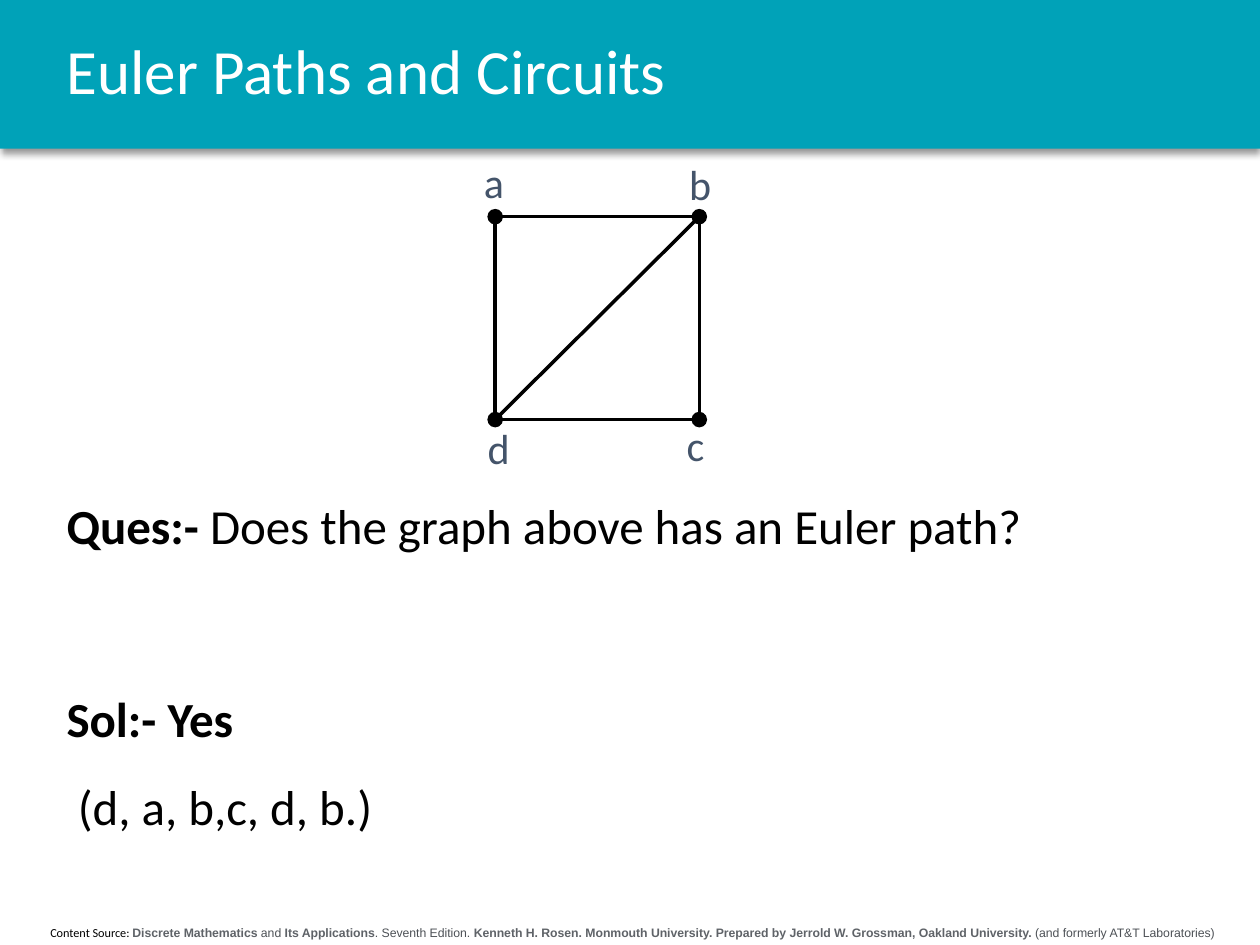
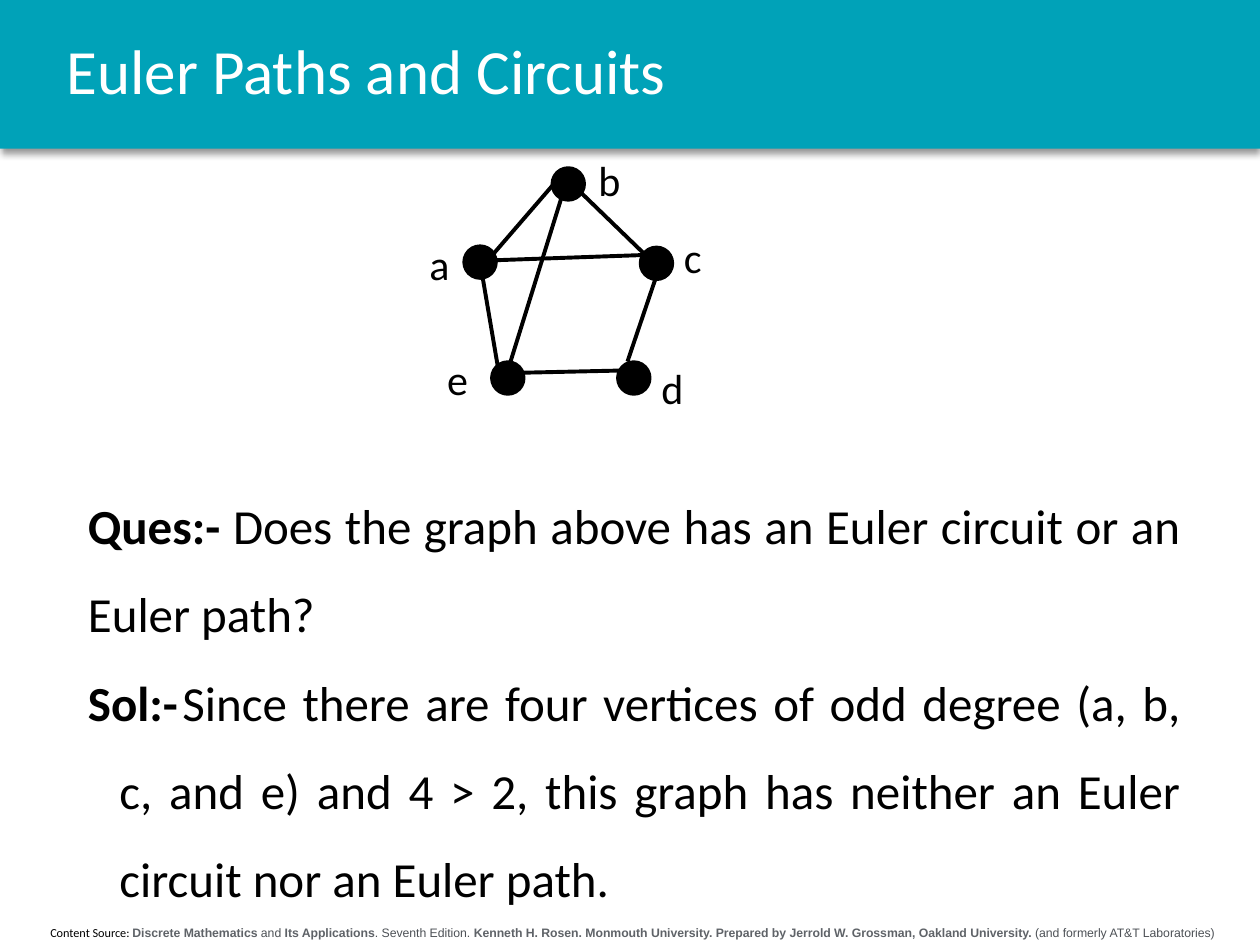
import pptx
import pptx.dml.color
import pptx.enum.shapes
import pptx.enum.text
import pptx.oxml
import pptx.oxml.ns
import pptx.util
from lxml import etree

COLORS = {
    "band": "00A2B8", "title": "FFFFFF", "ink": "000000", "slate": "44546A",
    "work": "5F6368", "detail": "4D5156",
}
SIZE = (10, 7.5)
BAND_HEIGHT = 1.18
TITLE = "Euler Paths and Circuits"
SOURCE = [
    ("Content Source: ", "Calibri", "ink", False),
    ("Discrete Mathematics", "Arial", "work", True),
    (" and ", "Arial", "detail", False),
    ("Its Applications", "Arial", "work", True),
    (". Seventh Edition. ", "Arial", "detail", False),
    ("Kenneth H. Rosen. Monmouth University. Prepared by Jerrold W. Grossman, Oakland University.",
     "Arial", "work", True),
    (" (and formerly AT&T Laboratories)", "Arial", "detail", False),
]
LEFT, RIGHT, TOP, BOTTOM = 3.93, 5.55, 1.72, 3.33

SLIDES = [
    {
        "graph": {
            "vertices": {"a": (LEFT, TOP), "b": (RIGHT, TOP),
                         "c": (RIGHT, BOTTOM), "d": (LEFT, BOTTOM)},
            "edges": ["ab", "bc", "cd", "da", "bd"],
            "labels": {"a": (3.84, 1.24), "b": (5.47, 1.26),
                       "c": (5.45, 3.33), "d": (3.87, 3.35)},
            "label_size": (0.32, 0.4), "label_inset": (0, 0), "label_color": "slate",
            "dot": 0.11, "outline": 1, "stroke": 2,
        },
        "answer_box": (0.43, 3.65, 9.3, 3.56),
        "answer": [
            {"runs": [("Ques:- ", True), ("Does the graph above has an Euler path?", False)]},
            {"runs": [("Sol:- Yes", True)], "before": 60},
            {"runs": [("(d, a, b,c, d, b.)", False)], "margin": 0.09},
        ],
    },
    {
        "graph": {
            "vertices": {"a": (3.81, 2.08), "b": (4.51, 1.46), "c": (5.21, 2.09),
                         "d": (5.03, 3), "e": (4.03, 3)},
            "edges": [
                ((4.43, 1.42), (3.86, 2.08)), ((4.54, 1.46), (5.16, 2.06)),
                ((5.23, 2.02), (3.81, 2.07)), ((4.49, 1.46), (3.99, 3.07)),
                ((3.81, 2.08), (3.97, 3.02)), ((5.23, 2.13), (4.98, 2.87)),
                ((4.97, 2.94), (4.07, 2.96)),
            ],
            "labels": {"a": (3.31, 1.84), "b": (4.65, 1.18), "c": (5.33, 1.79),
                       "d": (5.15, 2.83), "e": (3.45, 2.76)},
            "label_size": (0.55, 0.5), "label_inset": (0.1, 0.05), "label_color": "ink",
            "dot": 0.25, "outline": 2.25, "stroke": 2.25,
        },
        "answer_box": (0.6, 3.65, 8.87, 3.72),
        "answer": [
            {"runs": [("Ques:- ", True),
                      ("Does the graph above has an Euler circuit or an Euler path?", False)]},
            {"runs": [("Sol:-\t", True),
                      ("Since there are four vertices of odd degree (a, b, c, and e) and 4 > 2, "
                       "this graph has neither an Euler circuit nor an Euler path.", False)],
             "margin": 0.25, "hang": 0.25},
        ],
    },
]


def inches(values):
    return [pptx.util.Inches(value) for value in values]


def rgb(name):
    return pptx.dml.color.RGBColor.from_string(COLORS[name])


def style(font, size, color, name="Calibri"):
    font.size, font.name = pptx.util.Pt(size), name
    font.color.rgb = rgb(color)


def add_text_frame(slide, box, inset=(0.1, 0.05)):
    frame = slide.shapes.add_textbox(*inches(box)).text_frame
    frame.word_wrap = True
    frame.margin_left = frame.margin_right = pptx.util.Inches(inset[0])
    frame.margin_top = frame.margin_bottom = pptx.util.Inches(inset[1])
    return frame


def add_solid(slide, kind, box, color):
    solid = slide.shapes.add_shape(kind, *inches(box))
    solid.shadow.inherit = False
    solid.fill.solid()
    solid.fill.fore_color.rgb = rgb(color)
    return solid


def add_frame(slide):
    band = add_solid(slide, pptx.enum.shapes.MSO_SHAPE.RECTANGLE,
                     (0, 0, SIZE[0], BAND_HEIGHT), "band")
    band.line.fill.background()
    effects = band._element.spPr.find(pptx.oxml.ns.qn("a:effectLst"))
    effects.append(pptx.oxml.parse_xml(
        f'<a:outerShdw {pptx.oxml.ns.nsdecls("a")} blurRad="50800" dist="38100" '
        f'dir="5400000" algn="t" rotWithShape="0"><a:srgbClr val="{COLORS["ink"]}">'
        '<a:alpha val="40000"/></a:srgbClr></a:outerShdw>'))

    source = add_text_frame(slide, (0.04, 7.29, 9.96, 0.22)).paragraphs[0]
    source.alignment = pptx.enum.text.PP_ALIGN.CENTER
    for text, name, color, bold in SOURCE:
        run = source.add_run()
        run.text = text
        run.font.bold = bold
        style(run.font, 7, color, name)

    title = add_text_frame(slide, (0.43, 0, 9.3, BAND_HEIGHT))
    title.vertical_anchor = pptx.enum.text.MSO_ANCHOR.MIDDLE
    title.text = TITLE
    title.paragraphs[0].line_spacing = 0.9
    style(title.paragraphs[0].font, 36, "title")


def add_graph(slide, graph):
    vertices, dot = graph["vertices"], graph["dot"]
    for ends in graph["edges"]:
        start, end = (vertices.get(point, point) for point in ends)
        edge = slide.shapes.add_connector(
            pptx.enum.shapes.MSO_CONNECTOR.STRAIGHT, *inches(start + end))
        edge.line.color.rgb = rgb("ink")
        edge.line.width = pptx.util.Pt(graph["stroke"])
        etree.SubElement(edge._element.spPr, pptx.oxml.ns.qn("a:effectLst"))
    for x, y in vertices.values():
        vertex = add_solid(slide, pptx.enum.shapes.MSO_SHAPE.OVAL,
                           (x - dot / 2, y - dot / 2, dot, dot), "ink")
        vertex.line.color.rgb = rgb("ink")
        vertex.line.width = pptx.util.Pt(graph["outline"])
    for letter, corner in graph["labels"].items():
        label = add_text_frame(slide, corner + graph["label_size"], graph["label_inset"])
        label.text = letter
        style(label.paragraphs[0].font, 24, graph["label_color"])


def add_answer(slide, box, answer):
    frame = add_text_frame(slide, box)
    for index, part in enumerate(answer):
        paragraph = frame.add_paragraph() if index else frame.paragraphs[0]
        paragraph.alignment = pptx.enum.text.PP_ALIGN.JUSTIFY
        paragraph.line_spacing = 1.5
        paragraph.space_before = pptx.util.Pt(part.get("before", 0))
        properties = paragraph._p.get_or_add_pPr()
        properties.set("marL", str(pptx.util.Inches(part.get("margin", 0))))
        properties.set("indent", str(-pptx.util.Inches(part.get("hang", 0))))
        style(paragraph.font, 28, "ink")
        for text, bold in part["runs"]:
            run = paragraph.add_run()
            run.text = text
            run.font.bold = bold


def main():
    """Build the two Euler path slides."""
    deck = pptx.Presentation()
    deck.slide_width, deck.slide_height = inches(SIZE)
    for content in SLIDES:
        slide = deck.slides.add_slide(deck.slide_layouts[6])
        add_frame(slide)
        add_graph(slide, content["graph"])
        add_answer(slide, content["answer_box"], content["answer"])
    deck.save("out.pptx")


if __name__ == "__main__":
    main()
